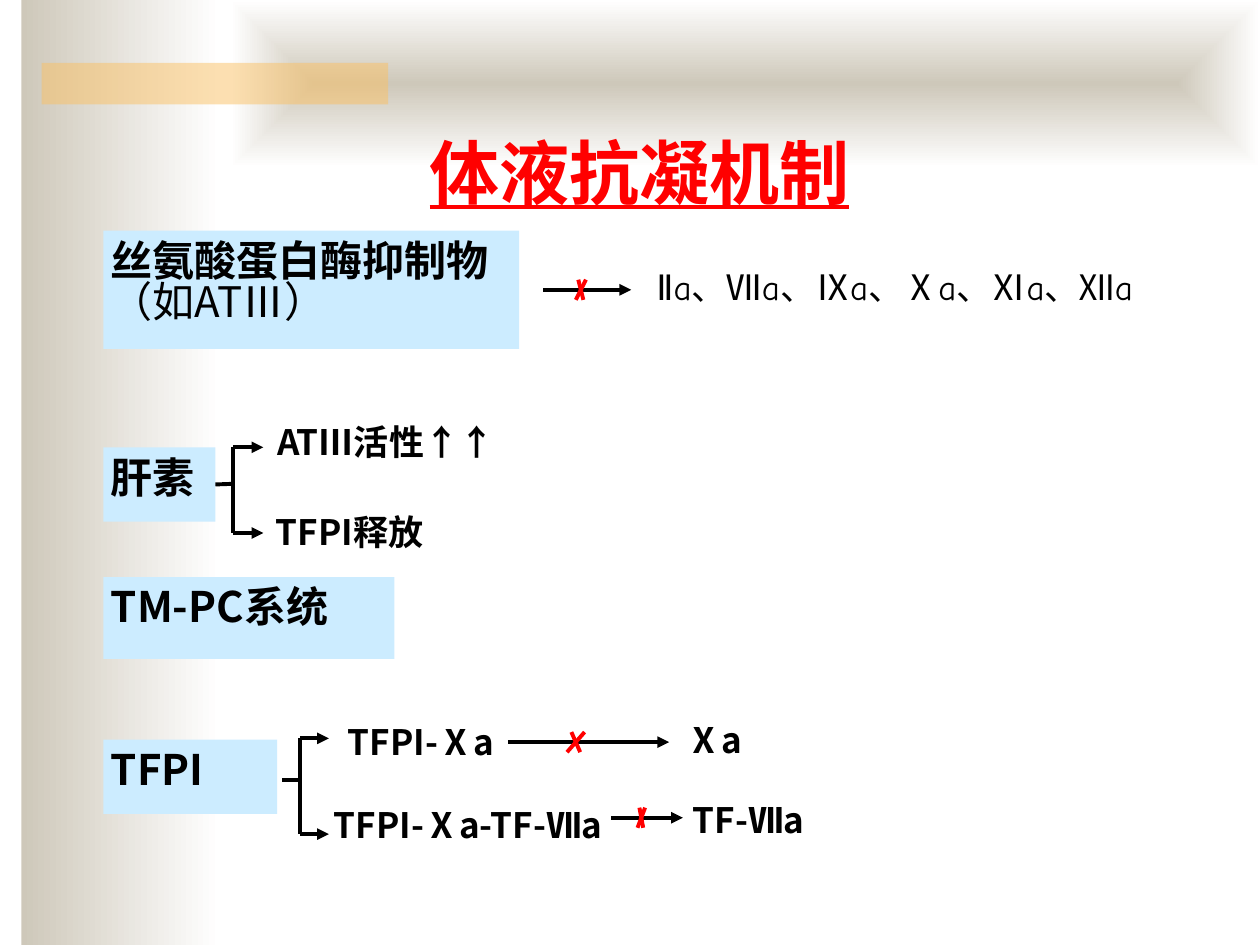
from dataclasses import dataclass

import pptx
import pptx.util
import pptx.dml.color
import pptx.enum.shapes
import pptx.enum.text
import pptx.oxml
import pptx.oxml.ns

COLUMNS, ROWS = 100, 75
ALIGN = pptx.enum.text.PP_ALIGN
ANCHOR = pptx.enum.text.MSO_ANCHOR
RIGHT_SIDE = 3


@dataclass(frozen=True)
class Theme:
    ink: str = "000000"
    red: str = "FF0000"
    box: str = "CCECFF"
    stone: str = "CEC8BA"
    white: str = "FFFFFF"
    amber: str = "FAC164"
    title_font: str = "Arial"
    font: str = "Noto Sans CJK SC"
    factor_font: str = "Comic Neue"
    title_size: int = 40
    box_size: int = 24
    label_size: int = 20
    line_width: float = 2.25


def color(value):
    return pptx.dml.color.RGBColor.from_string(value)


def add_xml(parent, tag, **attributes):
    child = pptx.oxml.parse_xml(f"<a:{tag} {pptx.oxml.ns.nsdecls('a')}/>")
    for name, value in attributes.items():
        child.set(name, value)
    parent.append(child)
    return child


class SlideBuilder:
    def __init__(self, presentation, theme):
        self.theme = theme
        self.column = presentation.slide_width / COLUMNS
        self.row = presentation.slide_height / ROWS
        self.slide = presentation.slides.add_slide(presentation.slide_layouts[5])
        self.shapes = self.slide.shapes

    def point(self, x, y):
        return round(x * self.column), round(y * self.row)

    def frame(self, left, top, width, height):
        return *self.point(left, top), *self.point(width, height)

    def fill_text(self, shape, text, size, font=None, ink=None, bold=True,
                  align=ALIGN.LEFT, anchor=ANCHOR.TOP, underline=None):
        """Set up the text frame of a shape and fill its first paragraph."""
        frame = shape.text_frame
        frame.word_wrap = True
        frame.auto_size = pptx.enum.text.MSO_AUTO_SIZE.NONE
        frame.vertical_anchor = anchor
        frame.margin_left = frame.margin_right = pptx.util.Inches(0.06)
        frame.margin_top = frame.margin_bottom = pptx.util.Inches(0.03)
        paragraph = frame.paragraphs[0]
        paragraph.alignment = align
        self.add_run(paragraph, text, size, font, ink, bold, underline)

    def add_run(self, paragraph, text, size, font=None, ink=None, bold=True,
                underline=None):
        run = paragraph.add_run()
        run.text = text
        run.font.size = pptx.util.Pt(size)
        run.font.name = font or self.theme.font
        run.font.bold = bold
        run.font.underline = underline
        run.font.color.rgb = color(ink or self.theme.ink)
        add_xml(run.font._element, "ea", typeface=run.font.name)

    def title(self, text, *area):
        title = self.shapes.title
        title.left, title.top, title.width, title.height = self.frame(*area)
        self.fill_text(title, text, self.theme.title_size, self.theme.title_font,
                       self.theme.red, align=ALIGN.CENTER, anchor=ANCHOR.MIDDLE,
                       underline=True)
        self.shapes._spTree.append(title._element)  # in front of the panels

    def rectangle(self, *area):
        shape = self.shapes.add_shape(
            pptx.enum.shapes.MSO_SHAPE.RECTANGLE, *self.frame(*area))
        shape.shadow.inherit = False
        shape.line.fill.background()
        return shape

    def solid(self, fill, *area):
        shape = self.rectangle(*area)
        shape.fill.solid()
        shape.fill.fore_color.rgb = color(fill)
        return shape

    def gradient(self, *area):
        shape = self.rectangle(*area)
        shape.fill.gradient()
        shape.fill.gradient_angle = 0
        stops = shape.fill.gradient_stops
        for stop, value in zip(stops, (self.theme.stone, self.theme.white)):
            stop.color.rgb = color(value)
        return shape

    def centre_gradient(self, *area):
        """Rectangle that fades from its middle to all four sides."""
        shape = self.gradient(*area)
        fill = shape._element.spPr.find(pptx.oxml.ns.qn("a:gradFill"))
        fill.remove(fill.find(pptx.oxml.ns.qn("a:lin")))
        shade = add_xml(fill, "path", **{"path": "rect"})
        add_xml(shade, "fillToRect", **dict.fromkeys("ltrb", "50000"))

    def translucent(self, fill, *area):
        shape = self.solid(fill, *area)
        value = shape._element.spPr.find(".//" + pptx.oxml.ns.qn("a:srgbClr"))
        add_xml(value, "alpha", val="50000")

    def box(self, text, *area):
        shape = self.solid(self.theme.box, *area)
        self.fill_text(shape, text, self.theme.box_size)
        return shape

    def label(self, text, *area, font=None, bold=True):
        shape = self.shapes.add_textbox(*self.frame(*area))
        self.fill_text(shape, text, self.theme.label_size, font, bold=bold,
                       align=ALIGN.JUSTIFY)

    def line(self, start, end, ink=None, arrow=False):
        connector = self.shapes.add_connector(
            pptx.enum.shapes.MSO_CONNECTOR.STRAIGHT,
            *self.point(*start), *self.point(*end))
        connector.line.color.rgb = color(ink or self.theme.ink)
        connector.line.width = pptx.util.Pt(self.theme.line_width)
        if arrow:
            add_xml(connector.line._get_or_add_ln(), "tailEnd", type="triangle")
        add_xml(connector._element.spPr, "effectLst")
        return connector

    def bracket(self, stem, spine, tip, top, bottom):
        """Stem that splits into two arrows; returns the stem."""
        stem_line = self.line(stem, (spine, stem[1]))
        self.line((spine, top), (spine, bottom))
        for y in (top, bottom):
            self.line((spine, y), (tip, y), arrow=True)
        return stem_line

    def blocked_arrow(self, left, right, y, cross, lean):
        """Arrow struck out by two red strokes that meet at column cross."""
        self.line((left, y), (right, y), arrow=True)
        for shift in (-lean, 2 * lean):
            self.line((cross + shift, y - 0.8), (cross - shift, y + 0.8),
                      self.theme.red)


def main():
    presentation = pptx.Presentation()
    presentation.slide_width = pptx.util.Inches(10)
    presentation.slide_height = pptx.util.Inches(7.5)
    theme = Theme()
    builder = SlideBuilder(presentation, theme)

    builder.gradient(1.7, 0, 15.8, ROWS)
    builder.centre_gradient(18.3, 0, 81.7, 13.3)
    builder.translucent(theme.amber, 3.3, 5, 27.5, 3.3)
    builder.title("体液抗凝机制", 11.6, 9.4, 78.3, 8.4)

    inhibitor = builder.box("丝氨酸蛋白酶抑制物", 8.2, 18.3, 33, 9.4)
    example = inhibitor.text_frame.add_paragraph()
    example.alignment = ALIGN.LEFT
    example.line_spacing = 0.81
    builder.add_run(example, "（如ATⅢ）", theme.box_size, bold=False)
    builder.blocked_arrow(43.1, 50.1, 23, 46.1, 0.2)
    builder.label("Ⅱa、Ⅶa、Ⅸa、Ⅹa、Ⅺa、Ⅻa", 51.5, 20.8, 40.8, 5.6,
                  font=theme.factor_font, bold=False)

    heparin = builder.box("肝素", 8.2, 35.5, 8.9, 5.9)
    stem = builder.bracket((17.1, 38.4), 18.5, 20.9, 35.5, 42.3)
    stem.begin_connect(heparin, RIGHT_SIDE)
    builder.label("ATⅢ活性↑↑", 21.4, 33.1, 24.5, 4.5)
    builder.label("TFPI释放", 21.3, 40.2, 21.3, 4.5)

    builder.box("TM-PC系统", 8.2, 45.8, 23.1, 6.5)

    builder.box("TFPI", 8.2, 58.7, 13.8, 5.9)
    builder.bracket((22.4, 61.9), 23.8, 26.1, 58.6, 66.2)
    builder.label("TFPI-Ⅹa", 27, 56.9, 17.2, 4.3)
    builder.blocked_arrow(40.3, 53.1, 58.9, 45.7, 0.35)
    builder.label("Ⅹa", 53.9, 56.7, 10.8, 3)
    builder.label("TFPI-Ⅹa-TF-Ⅶa", 25.9, 63.5, 24.3, 4.5)
    builder.blocked_arrow(48.5, 54.2, 64.9, 50.9, 0.15)
    builder.label("TF-Ⅶa", 54.4, 63.1, 15, 4.5)

    presentation.save("out.pptx")


if __name__ == "__main__":
    main()
